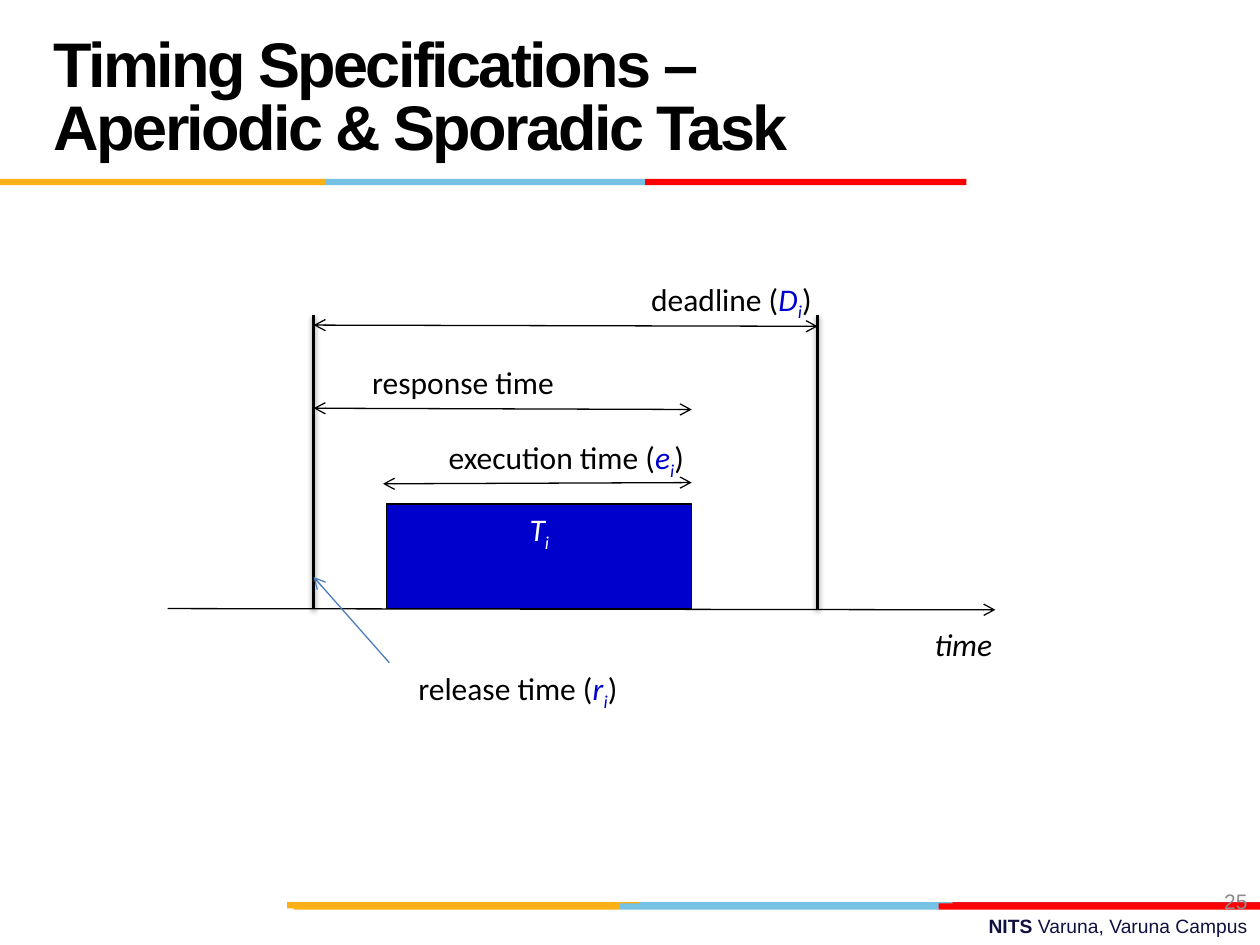
from lxml.etree import SubElement
from pptx import Presentation
from pptx.dml.color import RGBColor
from pptx.enum.shapes import MSO_CONNECTOR, MSO_SHAPE
from pptx.enum.text import MSO_ANCHOR, MSO_AUTO_SIZE, PP_ALIGN
from pptx.oxml.ns import qn
from pptx.util import Inches, Pt

BLACK = RGBColor(0x00, 0x00, 0x00)
WHITE = RGBColor(0xFF, 0xFF, 0xFF)
TASK_BLUE = RGBColor(0x00, 0x00, 0xCC)
POINTER_BLUE = RGBColor(0x4B, 0x7E, 0xBC)
NAVY = RGBColor(0x10, 0x11, 0x41)
GRAY = RGBColor(0x8C, 0x8C, 0x8C)
YELLOW = RGBColor(0xFC, 0xB0, 0x17)
SKY = RGBColor(0x76, 0xC2, 0xE5)
RED = RGBColor(0xFF, 0x00, 0x00)
DARK_RED = RGBColor(0xE3, 0x1C, 0x24)

LABEL = dict(name="Calibri", size=Pt(18))
RELEASE, START, FINISH, DEADLINE = 2.49, 3.07, 5.49, 6.49
AXIS_Y = 4.83


def add_run(paragraph, text, color, baseline=0, spacing=0, **font_format):
    run = paragraph.add_run()
    run.text = text
    for attribute, value in font_format.items():
        setattr(run.font, attribute, value)
    run.font.color.rgb = color
    for attribute, value in dict(baseline=baseline, spc=spacing).items():
        if value:
            run.font._element.set(attribute, str(value))


def add_symbol(paragraph, letter, color):
    """Add an italic letter with the subscript i."""
    add_run(paragraph, letter, color, italic=True, **LABEL)
    add_run(paragraph, "i", color, baseline=-25000, italic=True, **LABEL)


def add_text_area(slide, left, top, width, height, align=PP_ALIGN.LEFT, **frame_format):
    """Add an empty text box and return its first paragraph."""
    area = slide.shapes.add_textbox(*map(Inches, (left, top, width, height)))
    for attribute, value in {"word_wrap": True, **frame_format}.items():
        setattr(area.text_frame, attribute, value)
    paragraph = area.text_frame.paragraphs[0]
    paragraph.alignment = align
    return paragraph


def add_label(slide, left, top, width, words, letter=None,
              align=PP_ALIGN.CENTER, italic=False):
    """Add a diagram label, followed by a symbol in brackets if a letter is given."""
    paragraph = add_text_area(slide, left, top, width, 0.4, align, word_wrap=False)
    if letter is None:
        add_run(paragraph, words, BLACK, italic=italic, **LABEL)
        return
    add_run(paragraph, f"{words} (", BLACK, **LABEL)
    add_symbol(paragraph, letter, TASK_BLUE)
    add_run(paragraph, ")", BLACK, **LABEL)


def add_block(slide, left, top, width, height, color):
    block = slide.shapes.add_shape(
        MSO_SHAPE.RECTANGLE, *map(Inches, (left, top, width, height)))
    block.shadow.inherit = False
    block.fill.solid()
    block.fill.fore_color.rgb = color
    block.line.fill.background()
    return block


def add_stripe(slide, top, edges, colors):
    """Add a row of thin bars that meet at the given edges."""
    for left, right, color in zip(edges, edges[1:], colors):
        add_block(slide, left, top, right - left, 0.05, color)


def add_line(slide, begin, end, color=BLACK, width=0.75, arrows=(), shadow=False):
    line = slide.shapes.add_connector(
        MSO_CONNECTOR.STRAIGHT, *map(Inches, (*begin, *end)))
    line.line.color.rgb = color
    line.line.width = Pt(width)
    properties = line._element.spPr
    for arrow in arrows:
        SubElement(properties.find(qn("a:ln")), qn(f"a:{arrow}"), type="arrow")
    effects = SubElement(properties, qn("a:effectLst"))
    if shadow:
        outer = SubElement(effects, qn("a:outerShdw"), blurRad=str(Pt(3.1)),
                           dist=str(Pt(1.6)), dir="5400000", rotWithShape="0")
        shade = SubElement(outer, qn("a:srgbClr"), val=str(BLACK))
        SubElement(shade, qn("a:alpha"), val="38000")


def add_frame(slide):
    """Add the footer, the colour stripes, the title and the page number."""
    footer = add_text_area(slide, 3.58, 7.21, 6.42, 0.29, PP_ALIGN.RIGHT)
    add_run(footer, "NITS ", NAVY, name="Arial", size=Pt(11), bold=True)
    add_run(footer, "Varuna, Varuna Campus", NAVY, name="Arial", size=Pt(11))

    add_stripe(slide, 7.16, (2.28, 5.08, 7.56, 10), (YELLOW, SKY, DARK_RED))
    add_stripe(slide, 7.17, (2.33, 4.92, 7.45, 10), (YELLOW, SKY, RED))
    add_stripe(slide, 1.42, (0, 2.58, 5.12, 7.67), (YELLOW, SKY, RED))

    title = add_text_area(slide, 0.33, 0.17, 6.92, 1.25,
                          vertical_anchor=MSO_ANCHOR.MIDDLE,
                          auto_size=MSO_AUTO_SIZE.NONE)
    title.line_spacing = Pt(36)
    add_run(title, "Timing Specifications – Aperiodic & Sporadic Task", BLACK,
            spacing=-150, name="Arial", size=Pt(36), bold=True)

    page_number = add_text_area(slide, 7.67, 6.95, 2.33, 0.4, PP_ALIGN.RIGHT,
                                vertical_anchor=MSO_ANCHOR.MIDDLE)
    add_run(page_number, "25", GRAY, name="Arial", size=Pt(12))


def add_task(slide):
    task = add_block(slide, START, 4, FINISH - START, AXIS_Y - 4, TASK_BLUE)
    task.line.color.rgb = BLACK
    task.line.width = Pt(0.75)
    task.text_frame.vertical_anchor = MSO_ANCHOR.TOP
    paragraph = task.text_frame.paragraphs[0]
    paragraph.alignment = PP_ALIGN.CENTER
    add_symbol(paragraph, "T", WHITE)


def add_timing_diagram(slide):
    add_line(slide, (1.33, AXIS_Y), (7.9, AXIS_Y + 0.01), arrows=["tailEnd"])
    add_task(slide)
    for moment in (RELEASE, DEADLINE):
        add_line(slide, (moment, 2.5), (moment, AXIS_Y), width=2, shadow=True)

    spans = [
        ((RELEASE, 2.58), (DEADLINE, 2.59)),
        ((RELEASE, 3.24), (FINISH, 3.25)),
        ((3.04, 3.84), (FINISH, 3.83)),
    ]
    for begin, end in spans:
        add_line(slide, begin, end, arrows=["headEnd", "tailEnd"])
    add_line(slide, (3.09, 5.26), (RELEASE, 4.58), POINTER_BLUE, arrows=["tailEnd"])

    add_label(slide, 5.07, 2.17, 1.61, "deadline", "D", PP_ALIGN.LEFT)
    add_label(slide, 2.78, 2.83, 1.79, "response time")
    add_label(slide, 3.33, 3.43, 2.33, "execution time", "e")
    add_label(slide, 3.14, 5.26, 1.94, "release time", "r")
    add_label(slide, 7.32, 4.91, 0.68, "time", align=PP_ALIGN.LEFT, italic=True)


def main():
    presentation = Presentation()
    presentation.slide_width = Inches(10)
    presentation.slide_height = Inches(7.5)
    slide = presentation.slides.add_slide(presentation.slide_layouts[6])
    add_frame(slide)
    add_timing_diagram(slide)
    presentation.save("out.pptx")


if __name__ == "__main__":
    main()
